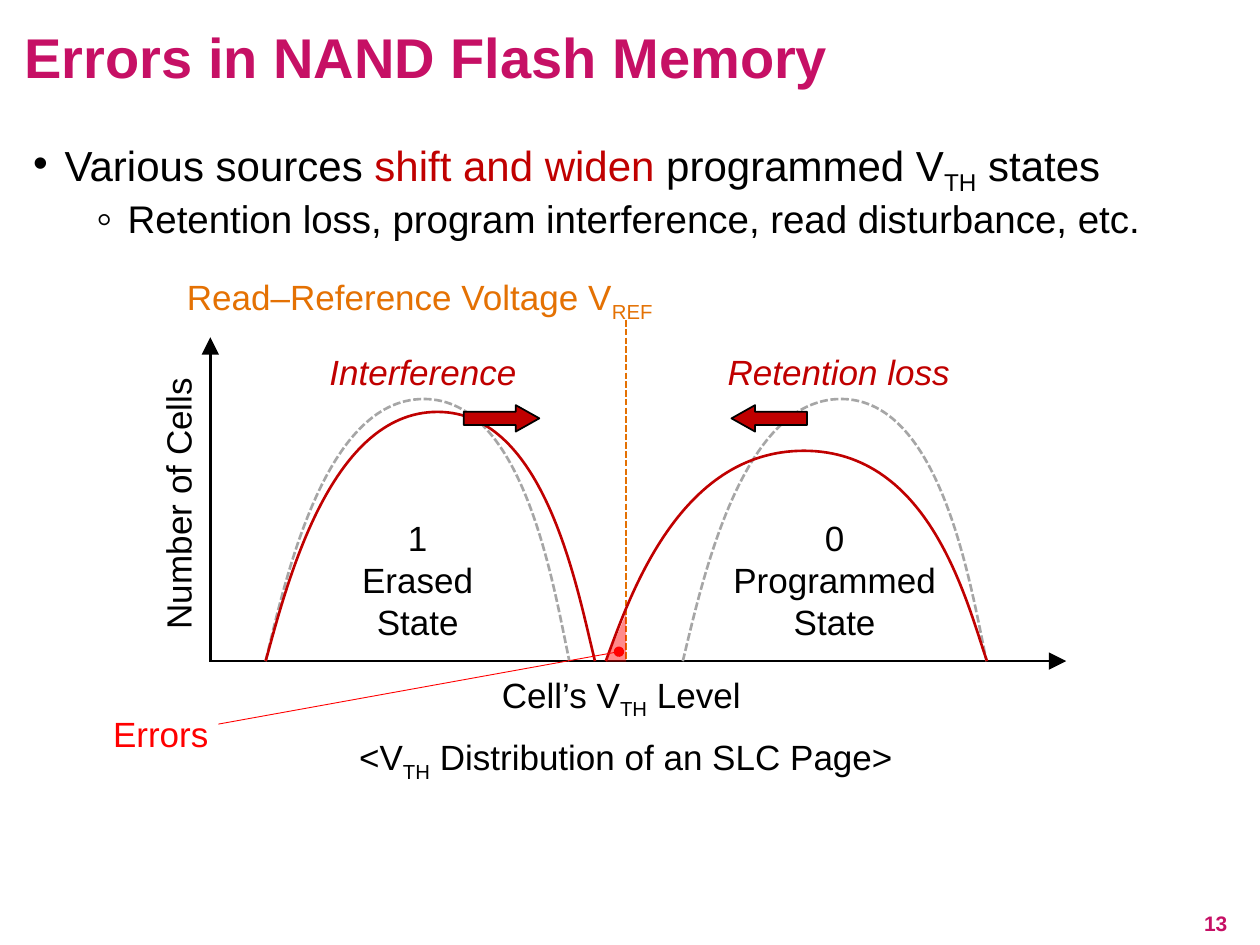
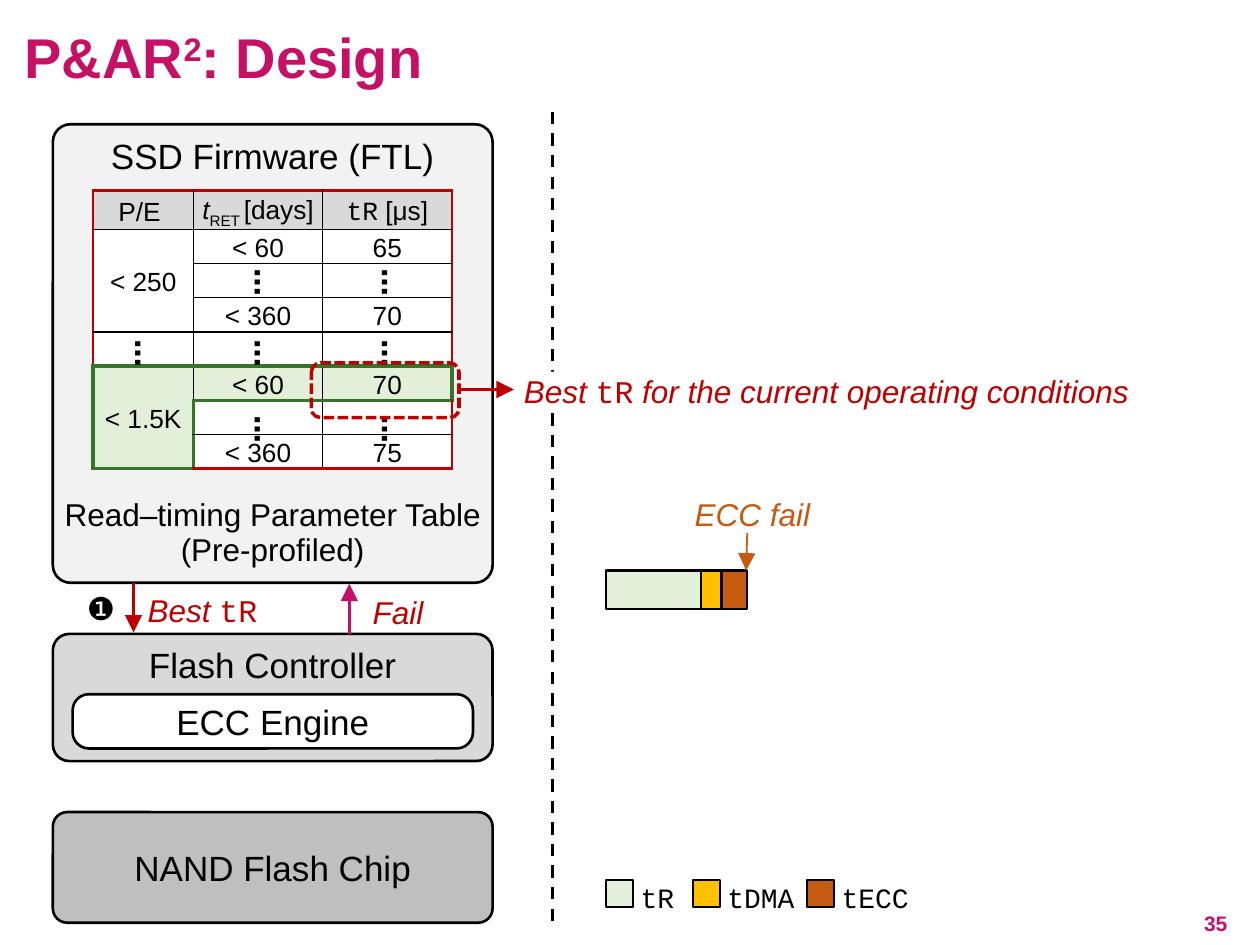
from dataclasses import dataclass
from itertools import product
from lxml import etree
from pptx import Presentation
from pptx.dml.color import RGBColor
from pptx.enum import dml, shapes, text
from pptx.oxml.ns import qn
from pptx.util import Pt

SHAPE, ALIGN, ANCHOR = shapes.MSO_SHAPE, text.PP_ALIGN, text.MSO_ANCHOR
DASH = dml.MSO_LINE


@dataclass(frozen=True)
class Theme:
    pink: str = "C61065"
    red: str = "C00000"
    alert: str = "FF0000"
    orange: str = "E47103"
    rust: str = "C55A11"
    gold: str = "FFC000"
    green: str = "357429"
    mint: str = "E2F0D9"
    black: str = "000000"
    white: str = "FFFFFF"
    pale: str = "F2F2F2"
    light: str = "D9D9D9"
    mid: str = "BFBFBF"
    gray: str = "A6A6A6"
    font: str = "Arial"
    mono: str = "Courier New"
    dots: str = "Calibri"
    title: int = 32
    lead: int = 24
    sub: int = 22
    label: int = 20
    note: int = 18
    code: int = 16
    cell: int = 15
    page: int = 12


T = Theme()


# --- text ---
def rgb(color):
    return RGBColor.from_string(color)


def style(font, size, color=T.black, name=T.font, bold=False, italic=False):
    font.size, font.name = Pt(size), name
    font.bold, font.italic = bold, italic
    font.color.rgb = rgb(color)


def add_runs(par, parts):
    """Parts are plain strings or (text, kind) pairs."""
    for part in [parts] if isinstance(parts, str) else parts:
        words, kind = (part, "") if isinstance(part, str) else part
        run = par.add_run()
        run.text = words
        if kind == "mono":
            run.font.name, run.font.italic = T.mono, False
        elif kind == "italic":
            run.font.italic = True
        elif kind == "red":
            run.font.color.rgb = rgb(T.red)
        elif kind:
            base = {"low": "-25000", "high": "30000"}[kind]
            run._r.get_or_add_rPr().set("baseline", base)


def set_frame(frame, inset, anchor):
    frame.word_wrap = True
    frame.auto_size = text.MSO_AUTO_SIZE.NONE
    frame.vertical_anchor = anchor
    (frame.margin_left, frame.margin_top,
     frame.margin_right, frame.margin_bottom) = map(Pt, inset)


def write(frame, lines, size, color=T.black, align=ALIGN.CENTER,
          inset=(0, 0, 0, 0), anchor=ANCHOR.MIDDLE, **look):
    set_frame(frame, inset, anchor)
    for i, parts in enumerate(lines):
        par = frame.add_paragraph() if i else frame.paragraphs[0]
        par.alignment = align
        style(par.font, size, color, **look)
        add_runs(par, parts)


def add_label(slide, box, lines, size=T.label, color=T.black, turn=0, **look):
    item = slide.shapes.add_textbox(*map(Pt, box))
    item.rotation = turn
    write(item.text_frame, lines, size, color, **look)


# --- shapes and lines ---
def draw(item, fill=None, line=None, width=1.5, dash=None):
    item.shadow.inherit = False
    if fill:
        item.fill.solid()
        item.fill.fore_color.rgb = rgb(fill)
    else:
        item.fill.background()
    if line:
        item.line.color.rgb = rgb(line)
        item.line.width = Pt(width)
        if dash:
            item.line.dash_style = dash
    else:
        item.line.fill.background()
    return item


def add_box(slide, box, kind=SHAPE.RECTANGLE, adjust=(), **look):
    item = slide.shapes.add_shape(kind, *map(Pt, box))
    for i, value in enumerate(adjust):
        item.adjustments[i] = value
    return draw(item, **look)


def add_line(slide, start, end, color, width=1.5, tip=None, dash=None,
             tip_size="lg"):
    item = slide.shapes.add_connector(
        shapes.MSO_CONNECTOR.STRAIGHT, *map(Pt, (*start, *end)))
    item.line.color.rgb = rgb(color)
    item.line.width = Pt(width)
    if dash:
        item.line.dash_style = dash
    if tip:
        etree.SubElement(item.line._get_or_add_ln(), qn("a:tailEnd"),
                         type=tip, w=tip_size, len=tip_size)
    etree.SubElement(item._element.spPr, qn("a:effectLst"))


def add_curve(slide, knots, color, dash=None):
    """Draw joined cubic curves; knots run point, two handles, point, ..."""
    spots = [(Pt(x), Pt(y)) for x, y in knots]
    outline = slide.shapes.build_freeform(*spots[0])
    outline.add_line_segments(spots[1:], close=False)
    item = draw(outline.convert_to_shape(), line=color, dash=dash)
    legs = list(item._element.iter(qn("a:lnTo")))
    for k in range(0, len(legs), 3):
        curve = etree.Element(qn("a:cubicBezTo"))
        legs[k].addprevious(curve)
        for leg in legs[k:k + 3]:
            curve.append(leg[0])
            leg.getparent().remove(leg)


# --- shared slide parts ---
def place(item, box):
    item.left, item.top, item.width, item.height = map(Pt, box)


def add_slide(deck, layout, title, page):
    slide = deck.slides.add_slide(deck.slide_layouts[layout])
    head = slide.shapes.title
    place(head, (0, 0, 720, 64))
    write(head.text_frame, [title], T.title, T.pink, ALIGN.LEFT,
          (14.1, 5, 14.1, 0), bold=True)
    head.text_frame.paragraphs[0].line_spacing = 0.9
    add_label(slide, (547, 513, 161.5, 28.8), [page], T.page, T.pink,
              align=ALIGN.RIGHT, inset=(7.2, 3.6, 7.2, 3.6), bold=True)
    return slide


def add_list(slide, box, rows):
    body = slide.placeholders[1]
    place(body, box)
    frame = body.text_frame
    set_frame(frame, (7.2, 3.6, 7.2, 3.6), ANCHOR.TOP)
    for i, (level, mark, scale, size, parts) in enumerate(rows):
        par = frame.add_paragraph() if i else frame.paragraphs[0]
        par.level = level
        props = par._p.get_or_add_pPr()
        props.set("marL", str(Pt(18 + 36 * level)))
        props.set("indent", str(-Pt(18)))
        etree.SubElement(props, qn("a:buSzPct"), val=str(scale * 1000))
        etree.SubElement(props, qn("a:buFont"), typeface=T.font)
        etree.SubElement(props, qn("a:buChar"), char=mark)
        par.line_spacing = 0.9
        par.space_before = Pt(5 if i else 0)
        style(par.font, size)
        add_runs(par, parts)


# --- error slide ---
def build_errors(deck):
    slide = add_slide(deck, 1, "Errors in NAND Flash Memory", "13")
    add_list(slide, (11.8, 76.4, 696, 424), [
        (0, "•", 100, T.lead, ["Various sources ", ("shift and widen", "red"),
                               " programmed V", ("TH", "low"), " states"]),
        (1, "◦", 120, T.sub,
         "Retention loss, program interference, read disturbance, etc."),
    ])

    # Axes, reference voltage and state names
    base = 377.8
    add_label(slide, (-24.5, 275.5, 252, 24.5), ["Number of Cells"], turn=270)
    add_line(slide, (120.2, base), (120.2, 192.7), T.black, tip="triangle")
    add_line(slide, (357.8, 183), (357.8, 378.5), T.orange, 1.25,
             dash=DASH.SQUARE_DOT)
    add_line(slide, (119.5, base), (609.3, base), T.black, tip="triangle")
    add_label(slide, (193, 294.9, 91.4, 72.7), ["1", "Erased", "State"])
    state = add_box(slide, (404.6, 294.9, 144.7, 72.7), fill=T.white)
    write(state.text_frame, ["0", "Programmed", "State"], T.label)
    add_label(slide, (198.7, 386, 318.2, 24.5),
              [["Cell’s V", ("TH", "low"), " Level "]])
    add_label(slide, (80.8, 159, 318.2, 24.5),
              [["Read–Reference Voltage V", ("REF", "low")]], color=T.orange)
    add_label(slide, (124.9, 421.7, 465.8, 24.5),
              [["<V", ("TH", "low"), " Distribution of an SLC Page>"]])

    # Distributions: ideal, then shifted
    for left in (151.8, 390.2):
        knots = [(0, base), (10.8, 334), (33, 228), (90.4, 228),
                 (147.8, 228), (164.5, 335), (173.6, base)]
        add_curve(slide, [(left + x, y) for x, y in knots], T.gray,
                  DASH.SQUARE_DOT)
    add_curve(slide, [(151.8, base), (163.4, 336), (188, 235.4), (250, 235.4),
                      (311.8, 235.4), (329.8, 337), (340, base)], T.red)
    add_curve(slide, [(346.2, base), (359.3, 342.7), (387.4, 257.6),
                      (459.4, 257.6), (531.4, 257.6), (552.2, 343.4),
                      (564, base)], T.red)

    # Shift causes
    for name, left, arrow, turn in (("Retention loss", 402.3, 418, 180),
                                    ("Interference", 164.7, 265, 0)):
        add_label(slide, (left, 196.8, 154, 31.5), [name], color=T.red,
                  italic=True)
        shift = add_box(slide, (arrow, 231.5, 43.2, 15.1), SHAPE.RIGHT_ARROW,
                        (0.5, 0.89), fill=T.red, line=T.black, width=1)
        shift.rotation = turn

    # Error area
    area = add_box(slide, (346.2, 350.6, 11.6, 27.4), SHAPE.ISOSCELES_TRIANGLE,
                   (1,), fill=T.alert)
    tint = area._element.spPr.find(".//" + qn("a:srgbClr"))
    etree.SubElement(tint, qn("a:alpha"), val="46000")
    add_line(slide, (124.8, 413.8), (353.7, 372.4), T.alert, 0.5, "oval",
             tip_size="med")
    add_label(slide, (46.2, 407, 91.4, 24.5), ["Errors"], color=T.alert)


# --- timing table ---
def add_edges(cell, row, col, size, chosen):
    """Green rings the chosen cells, red the table, black the rest."""
    down = row + cell.span_height if cell.is_merge_origin else row + 1
    sides = {"L": (row, col - 1), "R": (row, col + 1),
             "T": (row - 1, col), "B": (down, col)}
    for side, other in sides.items():
        inside = 0 <= other[0] < size[0] and 0 <= other[1] < size[1]
        if ((row, col) in chosen) != (other in chosen):
            color, width = T.green, 2.25
        else:
            color, width = (T.black, 1) if inside else (T.red, 1.5)
        edge = etree.SubElement(cell._tc.get_or_add_tcPr(),
                                qn("a:ln" + side), w=str(Pt(width)))
        fill = etree.SubElement(edge, qn("a:solidFill"))
        etree.SubElement(fill, qn("a:srgbClr"), val=color)


def add_timing(slide):
    rows = [["P/E ", [("t", "italic"), ("RET ", "low"), "[days]"],
             [("tR", "mono"), " [μs]"]],
            ["< 250", "< 60", "65"], ["", "", ""], ["", "< 360", "70"],
            ["", "", ""],
            ["< 1.5K", "< 60", "70"], ["", "", ""], ["", "< 360", "75"]]
    size = len(rows), len(rows[0])
    chosen = {(5, 0), (6, 0), (7, 0), (5, 1), (5, 2)}
    heights = [22.1] + [19.55] * 7
    widths = [57.3, 73.9, 73.9]
    frame = slide.shapes.add_table(
        *size, *map(Pt, (53.2, 108.8, sum(widths), sum(heights))))
    table = frame.table
    table.first_row = table.horz_banding = False
    for line, height in zip(table.rows, heights):
        line.height = Pt(height)
    for line, width in zip(table.columns, widths):
        line.width = Pt(width)
    for top in (1, 5):
        table.cell(top, 0).merge(table.cell(top + 2, 0))
    for row, col in product(*map(range, size)):
        cell = table.cell(row, col)
        cell.vertical_anchor = ANCHOR.MIDDLE
        cell.margin_left = cell.margin_right = cell.margin_bottom = 0
        cell.margin_top = Pt(2.3 if row else 3.2)
        par = cell.text_frame.paragraphs[0]
        par.alignment = ALIGN.CENTER
        style(par.font, T.cell)
        if rows[row][col]:
            add_runs(par, rows[row][col])
        else:
            etree.SubElement(par._p, qn("a:endParaRPr"), sz=str(T.cell * 100))
        if not cell.is_spanned:
            add_edges(cell, row, col, size, chosen)
        cell.fill.solid()
        cell.fill.fore_color.rgb = rgb(
            T.mint if (row, col) in chosen else T.white if row else T.light)


# --- design slide ---
def add_unit(slide, box, name, fill, round_by, anchor=ANCHOR.MIDDLE):
    unit = add_box(slide, box, SHAPE.ROUNDED_RECTANGLE, (round_by,),
                   fill=fill, line=T.black)
    write(unit.text_frame, [name], T.label, inset=(0, 2.9, 0, 2.9),
          anchor=anchor)


def build_design(deck):
    slide = add_slide(deck, 5, ["P&AR", ("2", "high"), ": Design"], "35")

    # Firmware with its table
    add_unit(slide, (30.2, 71, 251.3, 262), "SSD Firmware (FTL)", T.pale,
             0.04, ANCHOR.TOP)
    add_timing(slide)
    for top, name in ((282.6, "Read–timing Parameter Table"),
                      (302.8, "(Pre-profiled)")):
        add_label(slide, (18.3, top, 275, 21.6), [name], T.note)
    gaps = [*product((137.5, 210.2), (151.2, 191.5, 234.7)), (69.1, 191.5)]
    for left, top in gaps:
        add_label(slide, (left, top, 20.9, 20.9), ["⋯"], T.code, turn=90,
                  name=T.dots, bold=True)

    # Controller and chip
    add_unit(slide, (30.2, 362.2, 251.3, 72.7), "Flash Controller", T.light,
             0.13, ANCHOR.TOP)
    add_unit(slide, (30.2, 464.1, 251.3, 63.2), "NAND Flash Chip", T.mid, 0.13)
    add_unit(slide, (41.5, 396.7, 228.8, 31), "ECC Engine", T.white, 0.3)
    add_line(slide, (199.6, 362.2), (199.6, 333.6), T.pink, tip="triangle")
    add_label(slide, (205.5, 335.5, 44, 28.8), ["Fail"], T.note, T.red,
              italic=True)

    # Read stages: legend and time bar
    start = 346.4
    for name, color, width, left in (("tR", T.mint, 54.2, 346.4),
                                     ("tDMA", T.gold, 11.8, 396),
                                     ("tECC", T.rust, 14.6, 461.2)):
        add_label(slide, (left + 19.7, 499.5, 60, 21.6), [name], T.code,
                  align=ALIGN.LEFT, inset=(0, 3.6, 0, 3.6), anchor=ANCHOR.TOP,
                  name=T.mono)
        for box in ((left, 502.8, 15.6, 15.4), (start, 326, width, 22)):
            add_box(slide, box, fill=color, line=T.black, width=1.25)
        start += width
    add_label(slide, (368.7, 282.6, 116.6, 21.6), ["ECC fail"], T.note, T.rust,
              inset=(5.8, 0, 0, 0), italic=True)
    add_line(slide, (427, 304.6), (426.4, 326), T.rust, 1, "triangle")

    # Divider and best timing
    add_line(slide, (316, 64), (316, 527), T.black, 1.75, dash=DASH.DASH)
    add_box(slide, (177.9, 207.4, 84.4, 31.2), SHAPE.ROUNDED_RECTANGLE,
            line=T.red, width=2, dash=DASH.SQUARE_DOT)
    best = add_box(slide, (293.6, 212.4, 400.3, 21.6), fill=T.white)
    write(best.text_frame, [["Best ", ("tR", "mono"),
                             " for the current operating conditions"]],
          T.note, T.red, ALIGN.LEFT, (5.8, 0, 0, 0), italic=True)
    add_line(slide, (262.2, 222.6), (293.6, 222.6), T.red, tip="triangle")

    # First step
    add_line(slide, (76.3, 333.4), (76.3, 361.4), T.red, tip="triangle")
    step = dict(align=ALIGN.LEFT, inset=(7.2, 3.6, 7.2, 3.6), anchor=ANCHOR.TOP)
    add_label(slide, (77.3, 334, 90, 28.8), [["Best ", ("tR", "mono")]], T.note,
              T.red, italic=True, **step)
    add_label(slide, (42.5, 333, 36.7, 28.8), ["❶"], T.note, **step)


def main():
    deck = Presentation()
    deck.slide_width, deck.slide_height = Pt(720), Pt(540)
    build_errors(deck)
    build_design(deck)
    deck.save("out.pptx")


if __name__ == "__main__":
    main()
